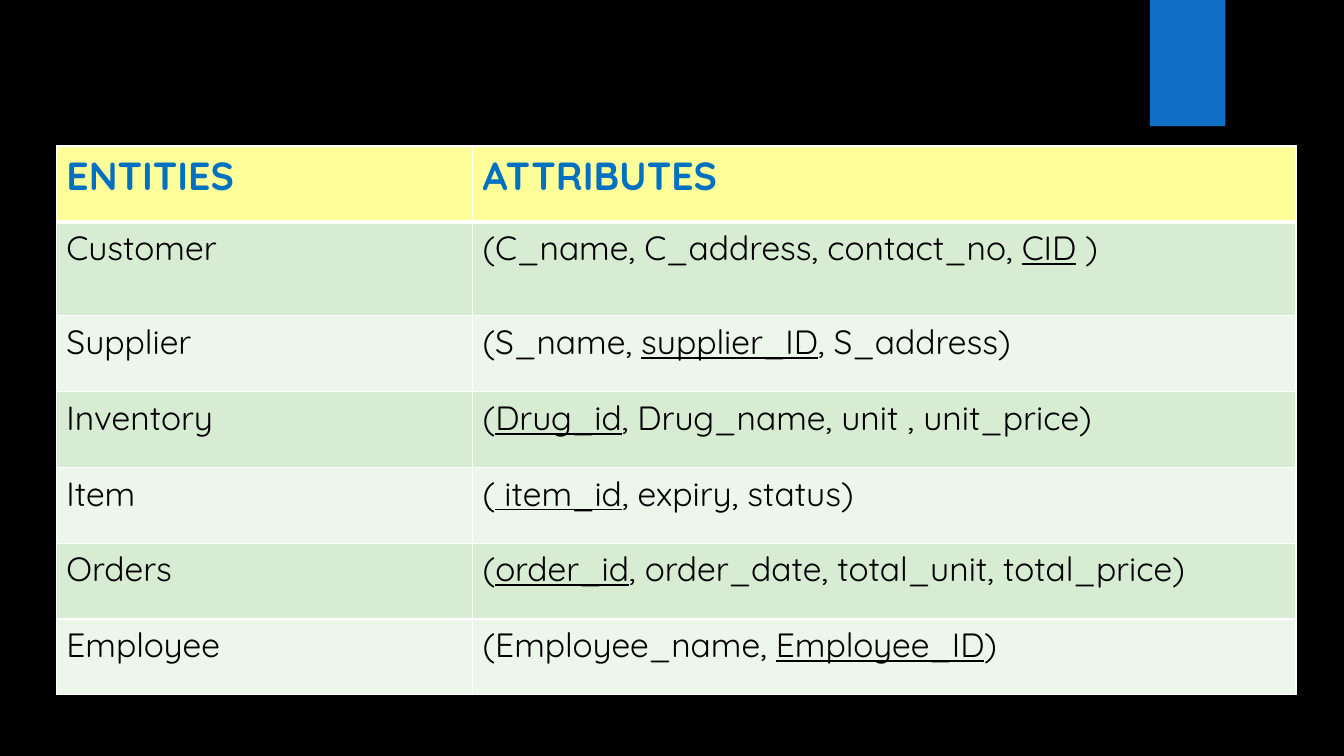
"""Build a slide listing the entities of a pharmacy database and their attributes."""
from dataclasses import dataclass

from lxml import etree
from pptx import Presentation
from pptx.dml.color import RGBColor
from pptx.enum import shapes
from pptx.oxml import ns
from pptx.util import Cm, Pt


@dataclass(frozen=True)
class Theme:
    """Colours, font and type sizes of the slide."""
    background: str = "000000"
    accent: str = "0F6FC6"
    header_fill: str = "FFFF99"
    header_text: str = "0070C0"
    bands: tuple = ("D7ECD3", "ECF6EA")
    body_text: str = "000000"
    border: str = "FFFFFF"
    font: str = "Quicksand"
    header_size: int = 28
    body_size: int = 24


THEME = Theme()
HEADINGS = ("ENTITIES", "ATTRIBUTES")
ENTITIES = (
    ("Customer", ("(C_name, C_address, contact_no, ", "CID", " )")),
    ("Supplier", ("(S_name, ", "supplier_ID", ", S_address)")),
    ("Inventory", ("(", "Drug_id", ", Drug_name, unit , unit_price)")),
    ("Item", ("(", " item_id", ", expiry, status)")),
    ("Orders", ("(", "order_id", ", order_date, total_unit, total_price)")),
    ("Employee", ("(Employee_name, ", "Employee_ID", ")")),
)
COLUMN_WIDTHS = (Cm(10.49), Cm(20.75))
ROW_HEIGHT = Cm(1.91)
CUSTOMER_HEIGHT = Cm(2.37)


def paint(fill, colour):
    """Give a fill one solid colour."""
    fill.solid()
    fill.fore_color.rgb = RGBColor.from_string(colour)


def add_accent(slide):
    """Add the blue tab at the top edge."""
    tab = slide.shapes.add_shape(
        shapes.MSO_SHAPE.RECTANGLE, Cm(28.98), Cm(0), Cm(1.9), Cm(3.18))
    tab.shadow.inherit = False
    paint(tab.fill, THEME.accent)
    tab.line.fill.background()


def set_borders(cell, bottom_width):
    """Draw thin borders around a cell, with a chosen bottom width."""
    properties = cell._tc.get_or_add_tcPr()
    widths = {"lnL": 1, "lnR": 1, "lnT": 1, "lnB": bottom_width}
    for position, (side, width) in enumerate(widths.items()):
        border = etree.Element(ns.qn(f"a:{side}"), w=str(Pt(width)))
        solid = etree.SubElement(border, ns.qn("a:solidFill"))
        etree.SubElement(solid, ns.qn("a:srgbClr"), val=THEME.border)
        properties.insert(position, border)


def style_cell(cell, fill, colour, size, bold=False, bottom_width=1):
    """Set the fill, borders and type of a filled-in cell."""
    paint(cell.fill, fill)
    set_borders(cell, bottom_width)
    for run in cell.text_frame.paragraphs[0].runs:
        run.font.name = THEME.font
        run.font.size = Pt(size)
        run.font.bold = bold
        run.font.color.rgb = RGBColor.from_string(colour)


def write_attributes(cell, attributes):
    """Write an attribute list with its key underlined."""
    paragraph = cell.text_frame.paragraphs[0]
    for part, is_key in zip(attributes, (False, True, False)):
        run = paragraph.add_run()
        run.text = part
        run.font.underline = is_key


def add_entity_table(slide):
    """Add the table of entities and attributes."""
    row_count = len(ENTITIES) + 1
    table = slide.shapes.add_table(
        row_count, len(HEADINGS), Cm(1.42), Cm(3.68),
        sum(COLUMN_WIDTHS), ROW_HEIGHT * (row_count - 1) + CUSTOMER_HEIGHT).table
    for column, width in zip(table.columns, COLUMN_WIDTHS):
        column.width = width
    for row in table.rows:
        row.height = ROW_HEIGHT
    table.rows[1].height = CUSTOMER_HEIGHT

    for column, heading in enumerate(HEADINGS):
        cell = table.cell(0, column)
        cell.text_frame.text = heading
        style_cell(cell, THEME.header_fill, THEME.header_text,
                   THEME.header_size, bold=True, bottom_width=3)
    for row, (entity, attributes) in enumerate(ENTITIES, start=1):
        table.cell(row, 0).text_frame.text = entity
        write_attributes(table.cell(row, 1), attributes)
        band = THEME.bands[(row - 1) % len(THEME.bands)]
        for cell in table.rows[row].cells:
            style_cell(cell, band, THEME.body_text, THEME.body_size,
                       bottom_width=1)
    for cell in table.rows[1].cells:
        top_border = cell._tc.tcPr.find(ns.qn("a:lnT"))
        top_border.set("w", str(Pt(3)))


def main():
    """Build and save the slide."""
    deck = Presentation()
    deck.slide_width, deck.slide_height = Cm(33.87), Cm(19.05)
    slide = deck.slides.add_slide(deck.slide_layouts[6])
    paint(slide.background.fill, THEME.background)
    add_accent(slide)
    add_entity_table(slide)
    deck.save("out.pptx")


if __name__ == "__main__":
    main()
